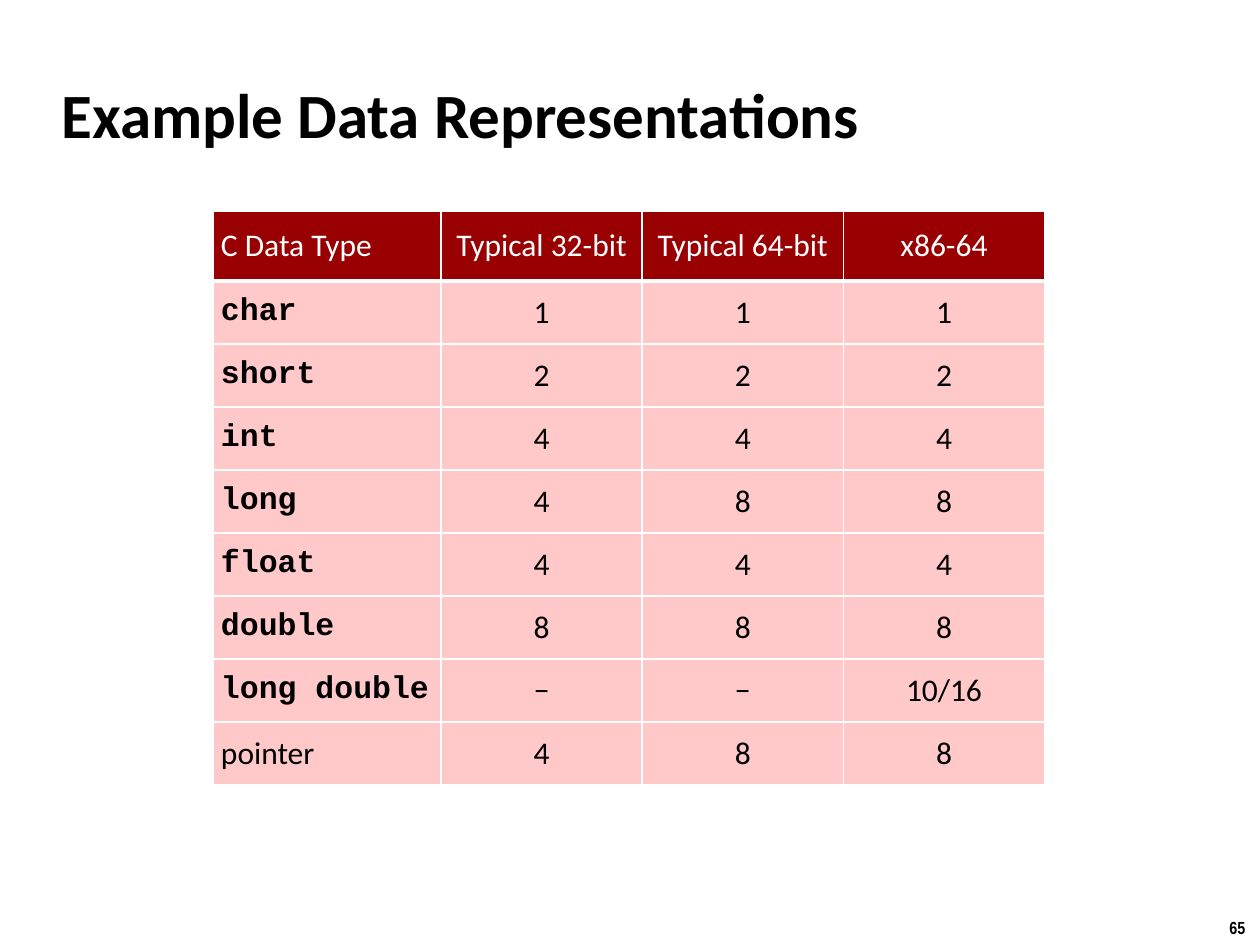
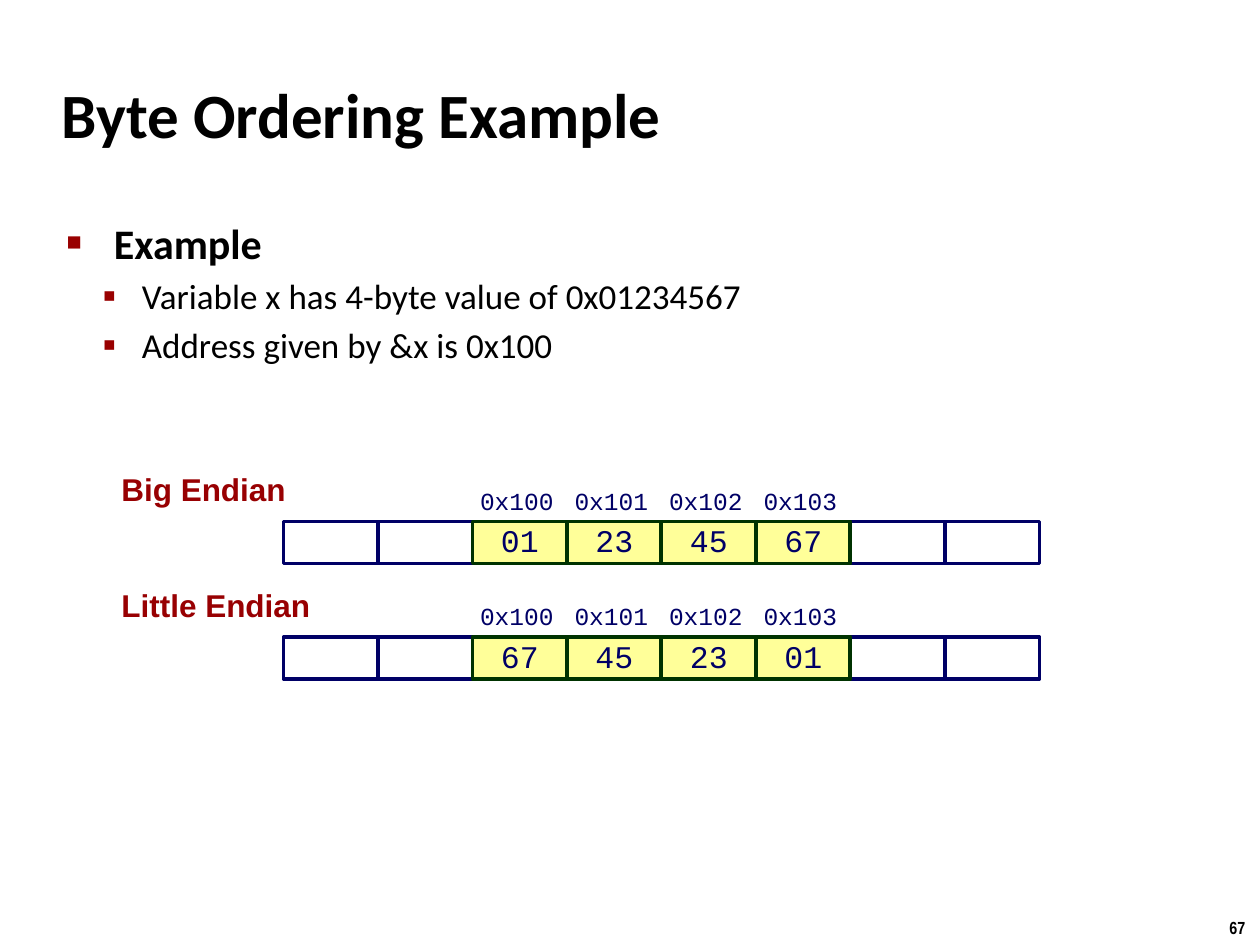
import pptx
import pptx.dml.color
import pptx.enum.shapes
import pptx.enum.text
import pptx.oxml
import pptx.oxml.ns
import pptx.util

Pt = pptx.util.Pt
RGB = pptx.dml.color.RGBColor
ALIGN = pptx.enum.text.PP_ALIGN
MID = pptx.enum.text.MSO_ANCHOR.MIDDLE
TOP = pptx.enum.text.MSO_ANCHOR.TOP
RECT = pptx.enum.shapes.MSO_SHAPE.RECTANGLE
NS = pptx.oxml.ns.nsdecls("a")

BLACK = RGB(0x00, 0x00, 0x00)
WHITE = RGB(0xFF, 0xFF, 0xFF)
RED = RGB(0x98, 0x00, 0x02)
BULLET = RGB(0x99, 0x00, 0x00)
PINK = RGB(0xFF, 0xC8, 0xC9)
NAVY = RGB(0x00, 0x00, 0x66)
GREEN = RGB(0x00, 0x33, 0x00)
YELLOW = RGB(0xFF, 0xFF, 0x99)
SANS, MONO = "Calibri", "Courier New"


def put(para, text, font=SANS, size=18, color=BLACK, bold=False,
        align=ALIGN.LEFT, space=None):
    """Write one formatted run into a paragraph."""
    para.alignment = align
    if space:
        para.line_spacing = space
    run = para.add_run()
    run.text = text
    run.font.name, run.font.size, run.font.bold = font, Pt(size), bold
    run.font.color.rgb = color


def box(slide, x, y, w, h, inset=(7.2, 3.6, 7.2, 3.6), anchor=TOP):
    """Add a wrapping text box and return its frame."""
    frame = slide.shapes.add_textbox(Pt(x), Pt(y), Pt(w), Pt(h)).text_frame
    frame.word_wrap = True
    frame.vertical_anchor = anchor
    (frame.margin_left, frame.margin_top,
     frame.margin_right, frame.margin_bottom) = map(Pt, inset)
    return frame


deck = pptx.Presentation()
deck.slide_width, deck.slide_height = Pt(720), Pt(540)

# Titles and page numbers
pages = []
for title, number in (("Example Data Representations", "65"),
                      ("Byte Ordering Example", "67")):
    page = deck.slides.add_slide(deck.slide_layouts[6])
    frame = box(page, 28, 34.5, 598, 60, anchor=MID)
    put(frame.paragraphs[0], title, size=36, bold=True)
    frame = box(page, 695.5, 520.5, 24.5, 19.5, inset=(7.2, 3.6, 0, 3.6))
    put(frame.paragraphs[0], number, font="Arial Narrow", size=10, bold=True)
    pages.append(page)
sizes, order = pages

# Table of type sizes
rows = (
    ("C Data Type", "Typical 32-bit", "Typical 64-bit", "x86-64"),
    ("char", "1", "1", "1"),
    ("short", "2", "2", "2"),
    ("int", "4", "4", "4"),
    ("long", "4", "8", "8"),
    ("float", "4", "4", "4"),
    ("double", "8", "8", "8"),
    ("long double", "−", "−", "10/16"),
    ("pointer", "4", "8", "8"),
)
widths = (130, 115, 115, 115)
heights = [40] + [36] * 8
table = sizes.shapes.add_table(len(rows), len(widths), Pt(122), Pt(120.5),
                               Pt(sum(widths)), Pt(sum(heights))).table
table.first_row = table.horz_banding = False
for col, width in zip(table.columns, widths):
    col.width = Pt(width)
for r, row in enumerate(rows):
    table.rows[r].height = Pt(heights[r])
    for c, word in enumerate(row):
        cell = table.cell(r, c)
        cell.vertical_anchor = MID
        cell.margin_left = cell.margin_right = Pt(4.3)
        cell.margin_top = cell.margin_bottom = Pt(4.3)
        cell.fill.solid()
        cell.fill.fore_color.rgb = PINK if r else RED
        code = c == 0 and r > 0 and word != "pointer"
        put(cell.text_frame.paragraphs[0], word,
            font=MONO if code else SANS, bold=code,
            color=BLACK if r else WHITE,
            align=ALIGN.CENTER if c else ALIGN.LEFT)
        # White borders, thick below the header
        edges = {"L": 1, "R": 1, "T": 3 if r == 1 else 1, "B": 1 if r else 3}
        for i, (side, width) in enumerate(edges.items()):
            line = pptx.oxml.parse_xml(
                f'<a:ln{side} {NS} w="{Pt(width)}"><a:solidFill>'
                f'<a:srgbClr val="{WHITE}"/></a:solidFill></a:ln{side}>')
            cell._tc.get_or_add_tcPr().insert(i, line)

# Bullets: text, level, left, hang, sign, sign size, text size
frame = box(order, 31, 120.5, 622, 150)
bullets = (
    ("Example", 0, 27, 27, "■", 60, 24),
    ("Variable x has 4-byte value of 0x01234567", 1, 43, 22.5, "▪", 110, 20),
    ("Address given by &x is 0x100", 1, 43, 22.5, "▪", 110, 20),
)
for i, (text, level, left, hang, sign, scale, size) in enumerate(bullets):
    para = frame.add_paragraph() if i else frame.paragraphs[0]
    para.level = level
    if i:
        para.space_before = Pt(4)
    props = para._p.get_or_add_pPr()
    props.set("marL", str(Pt(left)))
    props.set("indent", str(-Pt(hang)))
    for tag in (f'<a:buClr {NS}><a:srgbClr val="{BULLET}"/></a:buClr>',
                f'<a:buSzPct {NS} val="{scale * 1000}"/>',
                f'<a:buFont {NS} typeface="Arial"/>',
                f'<a:buChar {NS} char="{sign}"/>'):
        props.append(pptx.oxml.parse_xml(tag))
    put(para, text, size=size, bold=level == 0)

# Memory strips: eight cells, the middle four hold the value
cell_w, cell_h, first = 54, 24, 162
strips = (("Big Endian", 298, ("01", "23", "45", "67")),
          ("Little Endian", 364, ("67", "45", "23", "01")))
for label, y, data in strips:
    frame = box(order, 66.5, y - 30, 141, 26, inset=(2.9, 2.2, 5, 2.2))
    put(frame.paragraphs[0], label, font="Arial", color=RED, bold=True,
        space=0.95)
    # Filled cells come last so their borders lie on top
    for i in (0, 1, 6, 7, 2, 3, 4, 5):
        x = first + i * cell_w
        full = 2 <= i <= 5
        slot = order.shapes.add_shape(RECT, Pt(x), Pt(y), Pt(cell_w), Pt(cell_h))
        slot.shadow.inherit = False
        slot.fill.solid()
        slot.fill.fore_color.rgb = YELLOW if full else WHITE
        slot.line.color.rgb = GREEN if full else NAVY
        slot.line.width = Pt(2.25 if full else 2)
        if full:
            frame = slot.text_frame
            frame.vertical_anchor = MID
            frame.margin_top = frame.margin_bottom = 0
            put(frame.paragraphs[0], data[i - 2], font=MONO, color=NAVY,
                align=ALIGN.CENTER, space=0.9)
            frame = box(order, x, y - cell_h, cell_w, cell_h,
                        inset=(4.3, 4.3, 0, 4.3), anchor=MID)
            put(frame.paragraphs[0], f"0x{0x100 + i - 2:x}", font=MONO,
                size=14, color=NAVY)

deck.save("out.pptx")
